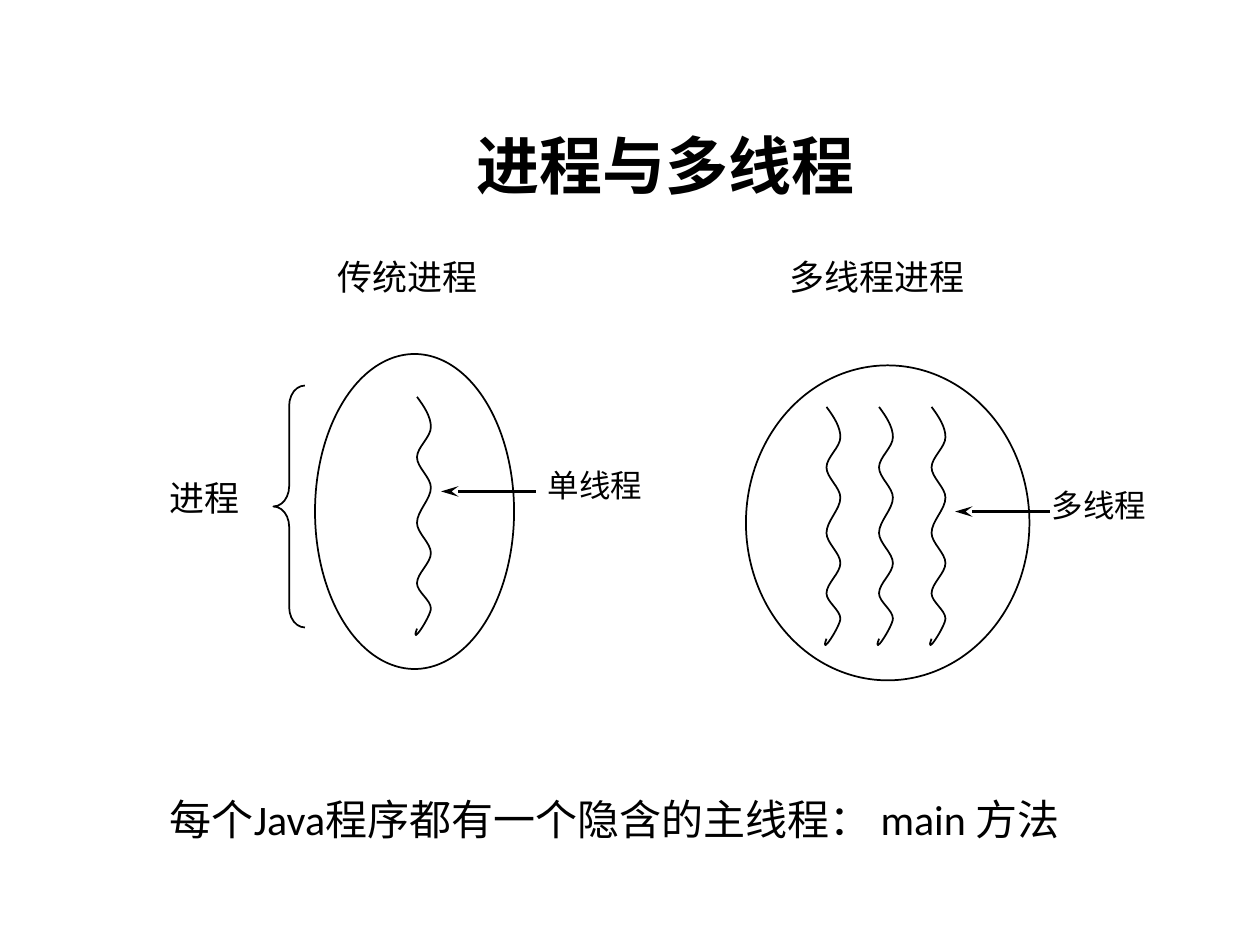
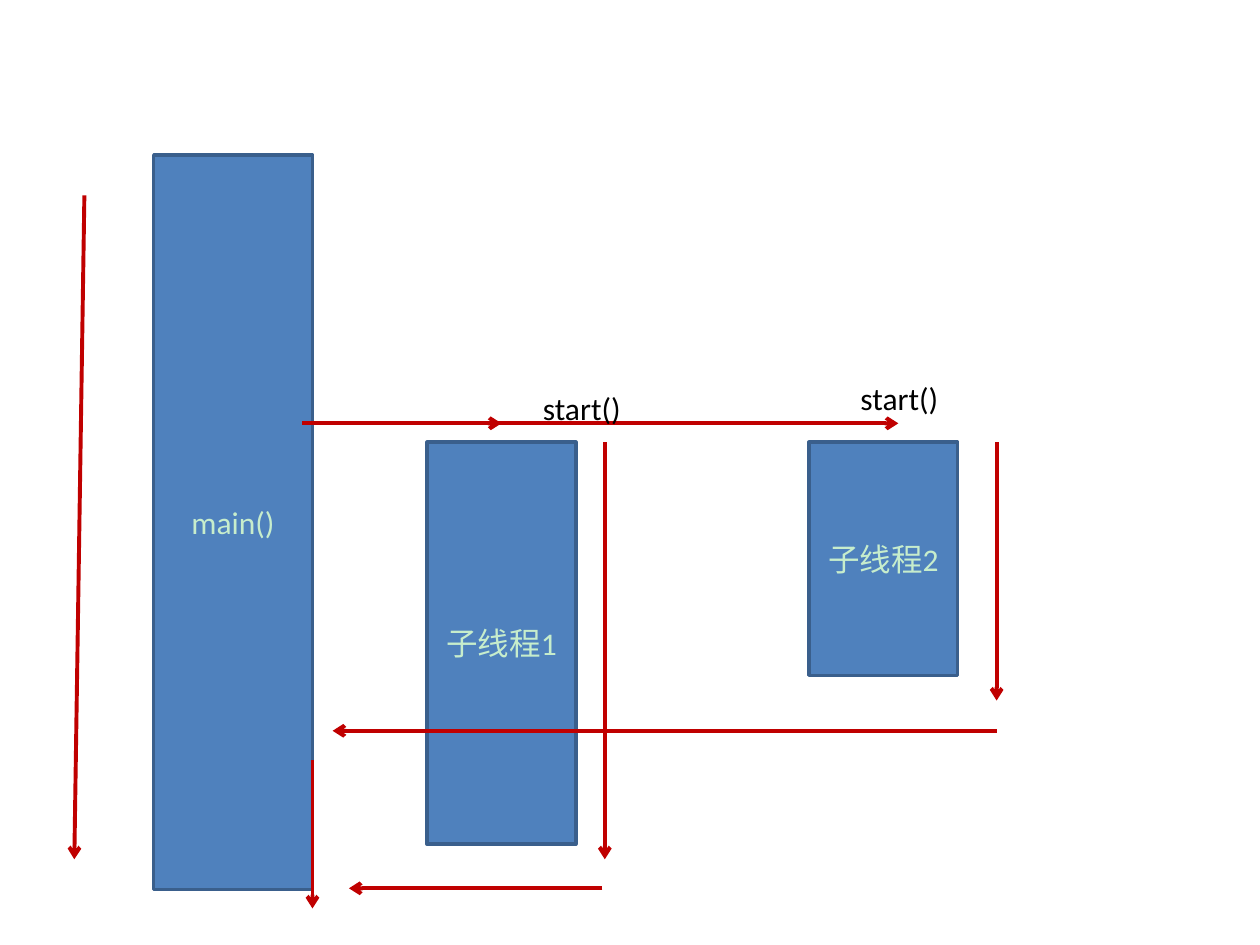
from lxml import etree
from pptx import Presentation
from pptx.dml.color import RGBColor
from pptx.enum.shapes import MSO_CONNECTOR, MSO_SHAPE
from pptx.enum.text import MSO_ANCHOR, MSO_AUTO_SIZE, PP_ALIGN
from pptx.oxml.ns import qn
from pptx.util import Inches, Pt

STRAIGHT = MSO_CONNECTOR.STRAIGHT
ELLIPSE = MSO_SHAPE.OVAL
RECTANGLE = MSO_SHAPE.RECTANGLE
LEFT_BRACE = MSO_SHAPE.LEFT_BRACE
MIDDLE = MSO_ANCHOR.MIDDLE
TOP = MSO_ANCHOR.TOP
LEFT = PP_ALIGN.LEFT
CENTER = PP_ALIGN.CENTER
GROW = MSO_AUTO_SIZE.SHAPE_TO_FIT_TEXT

FONT = "Calibri"
INK = "000000"
BAR_FILL = "4F81BD"
BAR_LINE = "3A5F8C"
BAR_TEXT = "C7EDCC"
ARROW_RED = "C00000"

WAVE_LEFT, WAVE_RIGHT = 0.06, 0.17
WAVE_TURNS = [0, 0.24, 0.48, 0.72, 1, 1.24, 1.48, 1.68]
WAVE_TAIL = [(0.17, 1.74), (0, 2), (0.06, 1.84)]


def color(hex_string):
    return RGBColor.from_string(hex_string)


def add_slide(presentation):
    return presentation.slides.add_slide(presentation.slide_layouts[6])


def write_text(shape, text, size, text_color=INK, bold=False, align=LEFT, anchor=TOP):
    frame = shape.text_frame
    frame.word_wrap = True
    frame.vertical_anchor = anchor
    frame.text = text
    paragraph = frame.paragraphs[0]
    paragraph.alignment = align
    for run in paragraph.runs:
        run.font.name = FONT
        run.font.size = Pt(size)
        run.font.bold = bold
        run.font.color.rgb = color(text_color)


def add_title(slide, text):
    title = slide.shapes.add_textbox(Inches(2.07), Inches(0.84), Inches(6.43), Inches(0.93))
    write_text(title, text, 36, bold=True, align=CENTER, anchor=MIDDLE)


def add_label(slide, text, left, top, width, size):
    height = 0.1 + size / 60
    label = slide.shapes.add_textbox(Inches(left), Inches(top), Inches(width), Inches(height))
    write_text(label, text, size)
    label.text_frame.auto_size = GROW


def style_outline(shape, line_color=INK, width=1, fill_color=None):
    shape.shadow.inherit = False
    shape.line.color.rgb = color(line_color)
    shape.line.width = Pt(width)
    if fill_color:
        shape.fill.solid()
        shape.fill.fore_color.rgb = color(fill_color)
    else:
        shape.fill.background()


def add_outline(slide, kind, left, top, width, height):
    shape = slide.shapes.add_shape(kind, Inches(left), Inches(top), Inches(width), Inches(height))
    style_outline(shape)
    return shape


def add_thread_bar(slide, text, left, top, width, height):
    bar = slide.shapes.add_shape(RECTANGLE, Inches(left), Inches(top), Inches(width), Inches(height))
    style_outline(bar, BAR_LINE, 2, BAR_FILL)
    write_text(bar, text, 18, BAR_TEXT, align=CENTER, anchor=MIDDLE)


def add_arrow(slide, start, end, line_color=ARROW_RED, width=2.25, head="arrow", length="med"):
    arrow = slide.shapes.add_connector(STRAIGHT, *[Inches(value) for value in (*start, *end)])
    arrow.line.color.rgb = color(line_color)
    arrow.line.width = Pt(width)
    line = arrow._element.spPr.find(qn("a:ln"))
    etree.SubElement(line, qn("a:tailEnd"), type=head, w="med", len=length)
    etree.SubElement(arrow._element.spPr, qn("a:effectLst"))


def add_pointer(slide, start, end):
    add_arrow(slide, start, end, INK, 2, "stealth", "lg")


def wave_controls():
    controls = []
    for index, (upper, lower) in enumerate(zip(WAVE_TURNS, WAVE_TURNS[1:])):
        start, end = (WAVE_LEFT, WAVE_RIGHT) if index % 2 == 0 else (WAVE_RIGHT, WAVE_LEFT)
        third = (lower - upper) / 3
        first_x = 0.12 if index == 0 else start
        controls += [(first_x, upper + third), (end, lower - third), (end, lower)]
    return controls + WAVE_TAIL


def bend_segments(shape):
    segments = list(shape._element.iter(qn("a:lnTo")))
    for first, second, third in zip(*[iter(segments)] * 3):
        curve = etree.Element(qn("a:cubicBezTo"))
        first.addprevious(curve)
        for segment in (first, second, third):
            curve.append(segment[0])
            segment.getparent().remove(segment)


def add_thread_wave(slide, left, top):
    builder = slide.shapes.build_freeform(Inches(left + WAVE_LEFT), Inches(top))
    builder.add_line_segments(
        [(Inches(left + x), Inches(top + y)) for x, y in wave_controls()], close=False)
    wave = builder.convert_to_shape()
    bend_segments(wave)
    style_outline(wave)


def build_process_slide(presentation):
    slide = add_slide(presentation)
    add_title(slide, "进程与多线程")

    add_thread_wave(slide, 3.25, 3.15)
    add_label(slide, "单线程", 4.25, 3.65, 1.33, 18)
    add_pointer(slide, (4.25, 3.9), (3.5, 3.9))

    for index in range(3):
        add_thread_wave(slide, 6.5 + index * 0.417, 3.23)
    add_label(slide, "多线程", 8.25, 3.81, 1.33, 18)
    add_pointer(slide, (8.33, 4.06), (7.58, 4.06))

    add_outline(slide, ELLIPSE, 2.5, 2.81, 1.58, 2.5)
    add_label(slide, "进程", 1.25, 3.73, 1.08, 20)
    brace = add_outline(slide, LEFT_BRACE, 2.17, 3.06, 0.25, 1.92)
    brace.adjustments[0] = 0.64
    add_label(slide, "传统进程", 2.58, 1.98, 2.25, 20)

    add_outline(slide, ELLIPSE, 5.92, 2.9, 2.25, 2.5)
    add_label(slide, "多线程进程", 6.17, 1.98, 2.33, 20)

    add_label(slide, "每个Java程序都有一个隐含的主线程： main 方法", 1.25, 6.25, 7.42, 24)


def build_start_slide(presentation):
    slide = add_slide(presentation)
    add_thread_bar(slide, "main()", 1.22, 1.23, 1.26, 5.83)
    add_arrow(slide, (0.67, 1.55), (0.59, 6.82))
    add_arrow(slide, (2.4, 3.36), (3.98, 3.36))
    add_thread_bar(slide, "子线程1", 3.39, 3.51, 1.18, 3.19)
    add_arrow(slide, (2.48, 3.36), (7.13, 3.36))
    add_thread_bar(slide, "子线程2", 6.42, 3.51, 1.18, 1.85)
    for start, end in [
        ((4.8, 3.51), (4.8, 6.82)),
        ((7.91, 3.51), (7.91, 5.56)),
        ((4.78, 7.05), (2.77, 7.05)),
        ((2.48, 6.03), (2.48, 7.21)),
        ((7.91, 5.8), (2.64, 5.8)),
    ]:
        add_arrow(slide, start, end)
    for left, top in [(4.21, 3.04), (6.73, 2.96)]:
        add_label(slide, "start()", left, top, 1.42, 18)


def main():
    presentation = Presentation()
    presentation.slide_width = Inches(10)
    presentation.slide_height = Inches(7.5)
    build_process_slide(presentation)
    build_start_slide(presentation)
    presentation.save("out.pptx")


if __name__ == "__main__":
    main()
